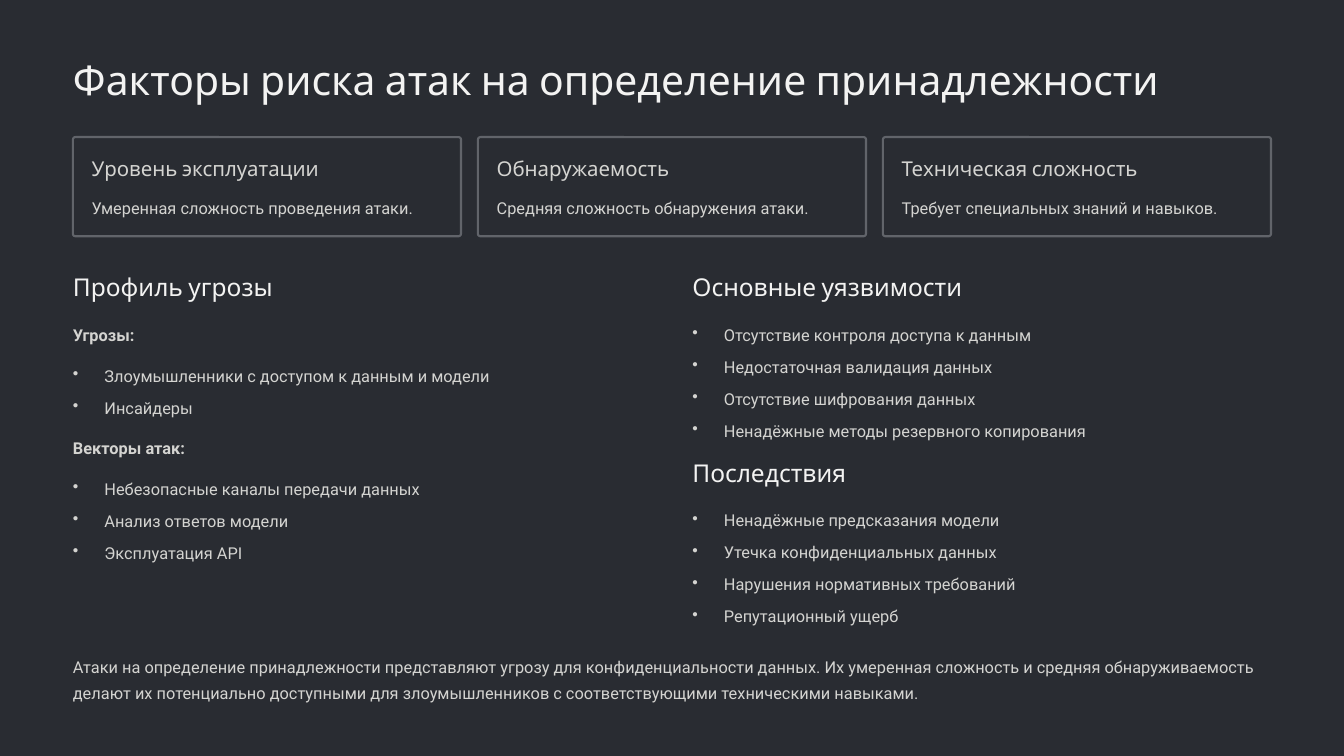
from lxml.etree import SubElement
from pptx import Presentation
from pptx.dml.color import RGBColor
from pptx.enum.shapes import MSO_SHAPE
from pptx.enum.text import MSO_ANCHOR, MSO_AUTO_SIZE, PP_ALIGN
from pptx.oxml.ns import qn
from pptx.util import Pt

TITLE = "Факторы риска атак на определение принадлежности"
CARDS = [
    ("Уровень эксплуатации", "Умеренная сложность проведения атаки."),
    ("Обнаружаемость", "Средняя сложность обнаружения атаки."),
    ("Техническая сложность", "Требует специальных знаний и навыков."),
]
PARTS = [
    (0, 232.5, "Профиль угрозы", [
        ("label", "Угрозы:"),
        ("item", "Злоумышленники с доступом к данным и модели"),
        ("item", "Инсайдеры"),
        ("label", "Векторы атак:"),
        ("item", "Небезопасные каналы передачи данных"),
        ("item", "Анализ ответов модели"),
        ("item", "Эксплуатация API"),
    ]),
    (1, 232.5, "Основные уязвимости", [
        ("item", "Отсутствие контроля доступа к данным"),
        ("item", "Недостаточная валидация данных"),
        ("item", "Отсутствие шифрования данных"),
        ("item", "Ненадёжные методы резервного копирования"),
    ]),
    (1, 391.5, "Последствия", [
        ("item", "Ненадёжные предсказания модели"),
        ("item", "Утечка конфиденциальных данных"),
        ("item", "Нарушения нормативных требований"),
        ("item", "Репутационный ущерб"),
    ]),
]
CLOSING = (
    "Атаки на определение принадлежности представляют угрозу для "
    "конфиденциальности данных. Их умеренная сложность и средняя "
    "обнаруживаемость делают их потенциально доступными для "
    "злоумышленников с соответствующими техническими навыками."
)

DARK = RGBColor(0x29, 0x2C, 0x32)
EDGE = RGBColor(0x61, 0x64, 0x6A)
WHITE = RGBColor(0xF3, 0xF3, 0xF2)
PALE = RGBColor(0xD4, 0xD4, 0xD1)

STYLES = {
    "title": (43.5, WHITE, {"name": "Cabin", "size": Pt(35), "bold": False}),
    "head": (26, WHITE, {"name": "Cabin", "size": Pt(21)}),
    "card": (21.5, PALE, {"name": "Cabin", "size": Pt(17.5)}),
    "text": (22.5, PALE, {"name": "Roboto", "size": Pt(14)}),
    "item": (22.5, PALE, {"name": "Roboto", "size": Pt(14)}),
    "label": (22.5, PALE, {"name": "Roboto", "size": Pt(14), "bold": True}),
}
FRAME = {
    "margin_left": 0, "margin_top": 0, "margin_right": 0, "margin_bottom": 0,
    "auto_size": MSO_AUTO_SIZE.NONE, "word_wrap": True,
    "vertical_anchor": MSO_ANCHOR.TOP,
}

LEFT, WIDTH = 62.5, 1027
GAP = 14.5
CARD_W = (WIDTH - GAP * (len(CARDS) - 1)) / len(CARDS)
CARD_TOP, CARD_H, PAD = 117.5, 85, 16
COL_W = 496
COLS = [LEFT, LEFT + WIDTH - COL_W]
INDENT = 27
TIGHT, LOOSE = 4.9, 12.4


def set_all(target, values):
    for key, value in values.items():
        setattr(target, key, value)


def place(shape, x, y, w, h):
    set_all(shape, {"left": Pt(x), "top": Pt(y), "width": Pt(w), "height": Pt(h)})


def write(shape, rows):
    frame = shape.text_frame
    set_all(frame, FRAME)
    last = None
    for kind, words in rows:
        para = frame.add_paragraph() if last else frame.paragraphs[0]
        line, color, font = STYLES[kind]
        if kind == "item":
            props = para._p.get_or_add_pPr()
            props.set("marL", str(Pt(INDENT)))
            props.set("indent", str(-Pt(INDENT)))
            SubElement(props, qn("a:buChar")).set("char", "•")
        space = 0 if last is None else TIGHT if kind == last else LOOSE
        set_all(para, {"alignment": PP_ALIGN.LEFT, "line_spacing": Pt(line),
                       "space_before": Pt(space)})
        run = para.add_run()
        run.text = words
        set_all(run.font, font)
        run.font.color.rgb = color
        last = kind


def add_text(slide, x, y, w, h, rows):
    box = slide.shapes.add_textbox(Pt(x), Pt(y), Pt(w), Pt(h))
    write(box, rows)


def add_card(slide, x, head, words):
    card = slide.shapes.add_shape(
        MSO_SHAPE.ROUNDED_RECTANGLE, Pt(x), Pt(CARD_TOP), Pt(CARD_W), Pt(CARD_H))
    card.adjustments[0] = 0.025
    card.shadow.inherit = False
    card.fill.solid()
    card.fill.fore_color.rgb = DARK
    card.line.color.rgb = EDGE
    card.line.width = Pt(1.8)
    inner = CARD_W - 2 * PAD
    add_text(slide, x + PAD, CARD_TOP + PAD, inner, 22, [("card", head)])
    add_text(slide, x + PAD, CARD_TOP + 46.5, inner, 22.5, [("text", words)])


def main():
    deck = Presentation()
    deck.slide_width, deck.slide_height = Pt(1152), Pt(648)
    slide = deck.slides.add_slide(deck.slide_layouts[5])
    slide.background.fill.solid()
    slide.background.fill.fore_color.rgb = DARK

    title = slide.shapes.title
    place(title, LEFT, 45.5, WIDTH, 44)
    write(title, [("title", TITLE)])

    for i, (head, words) in enumerate(CARDS):
        add_card(slide, LEFT + i * (CARD_W + GAP), head, words)

    for col, top, head, rows in PARTS:
        add_text(slide, COLS[col], top, COL_W, 26.5, [("head", head)])
        add_text(slide, COLS[col], top + 40.5, COL_W, 27.4 * len(rows), rows)

    add_text(slide, LEFT, 557.5, WIDTH, 45, [("text", CLOSING)])
    deck.save("out.pptx")


if __name__ == "__main__":
    main()
